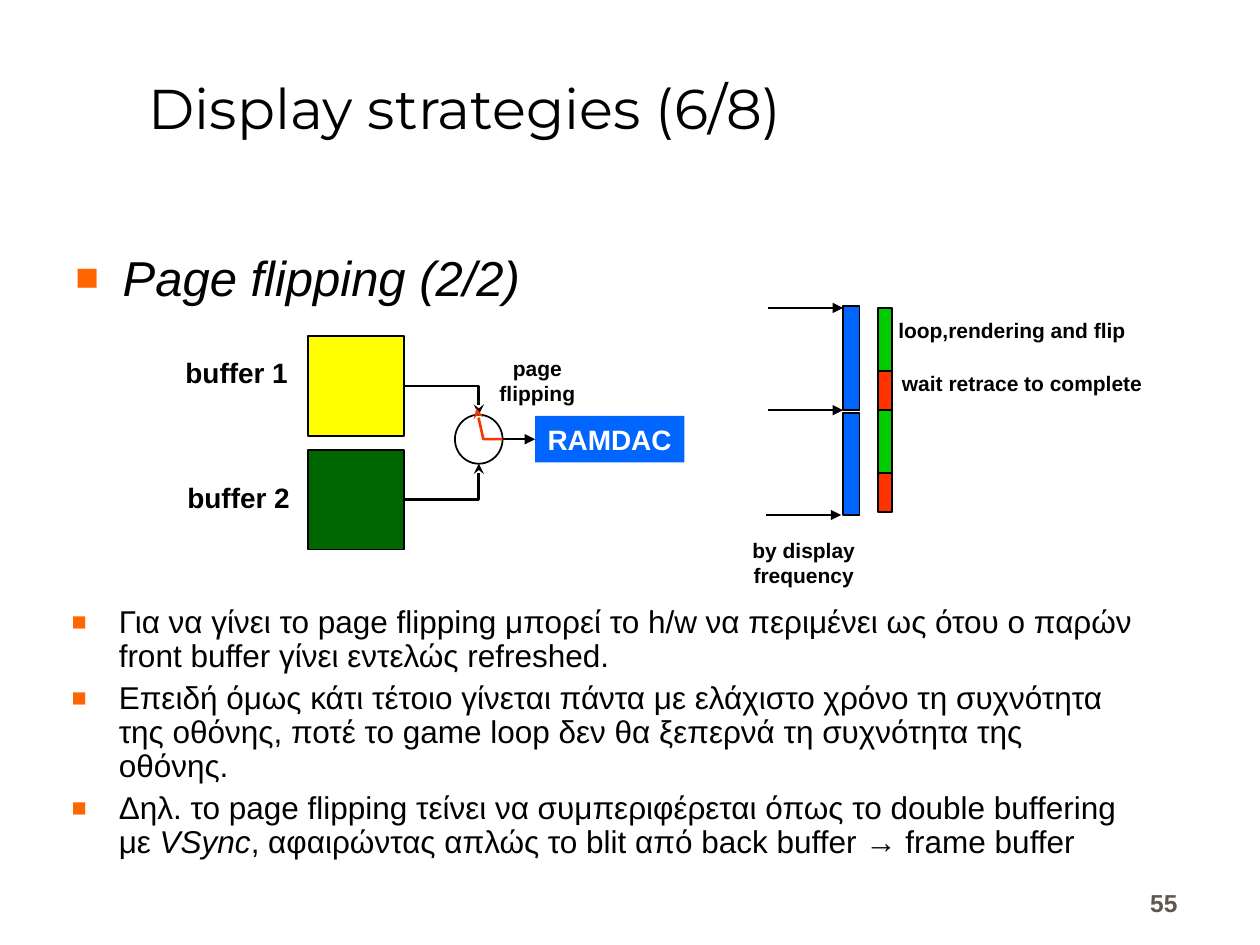
"""Build the slide on page flipping, with its buffer and timing diagrams."""
from lxml import etree
from pptx import Presentation
from pptx.dml.color import RGBColor
from pptx.enum import shapes, text
from pptx.oxml import ns
from pptx.util import Pt


def tint(code):
    return RGBColor.from_string(code)


def write(shape, rows, size, color="000000", bold=False, font="Arial", align="LEFT",
          anchor="TOP", wrap=True, bullet=False, gap=0, lead=1.0):
    frame = shape.text_frame
    frame.word_wrap = wrap
    frame.vertical_anchor = getattr(text.MSO_ANCHOR, anchor)
    for n, row in enumerate(rows):
        para = frame.paragraphs[0] if n == 0 else frame.add_paragraph()
        para.alignment = getattr(text.PP_ALIGN, align)
        para.line_spacing = lead
        para.space_before = Pt(gap if n else 0)
        if bullet:
            props = para._p.get_or_add_pPr()
            props.set("marL", str(Pt(27)))
            props.set("indent", str(Pt(-27)))
            hue = etree.SubElement(props, ns.qn("a:buClr"))
            etree.SubElement(hue, ns.qn("a:srgbClr"), val="FF6600")
            etree.SubElement(props, ns.qn("a:buSzPct"), val="80000")
            etree.SubElement(props, ns.qn("a:buFont"), typeface="Arial")
            etree.SubElement(props, ns.qn("a:buChar"), char="■")
        for k, part in enumerate(row.split("*")):
            if part:
                run = para.add_run()
                run.text = part
                run.font.size = Pt(size)
                run.font.name = font
                run.font.bold = bold
                run.font.italic = k % 2 == 1
                run.font.color.rgb = tint(color)


deck = Presentation()
deck.slide_width, deck.slide_height = Pt(720), Pt(540)
slide = deck.slides.add_slide(deck.slide_layouts[6])
items = slide.shapes

boxes = {}
for name, kind, x, y, w, h, fill, edge in [
    ("buffer 1", "RECTANGLE", 175.9, 192, 55.2, 57.1, "FFFF00", True),
    ("buffer 2", "RECTANGLE", 175.9, 257, 55.2, 57.1, "006600", True),
    ("ramdac", "RECTANGLE", 305.8, 237.7, 85.3, 26.6, "0066FF", False),
    ("clock", "OVAL", 260, 237, 27.2, 28, "FFFFFF", True),
    ("frame 1", "RECTANGLE", 481.7, 175, 9.5, 59.4, "0066FF", True),
    ("frame 2", "RECTANGLE", 481.7, 235.8, 9.5, 58.6, "0066FF", True),
    ("loop 1", "RECTANGLE", 501.8, 175.8, 8, 36.2, "00CC00", True),
    ("wait 1", "RECTANGLE", 501.8, 212, 8, 22.4, "FF3300", True),
    ("loop 2", "RECTANGLE", 501.8, 234.4, 8, 36, "00CC00", True),
    ("wait 2", "RECTANGLE", 501.8, 270.4, 8, 22.4, "FF3300", True),
]:
    box = items.add_shape(getattr(shapes.MSO_SHAPE, kind), Pt(x), Pt(y), Pt(w), Pt(h))
    box.shadow.inherit = False
    box.fill.solid()
    box.fill.fore_color.rgb = tint(fill)
    if edge:
        box.line.color.rgb = tint("000000")
        box.line.width = Pt(1)
    else:
        box.line.fill.background()
    boxes[name] = box
write(boxes["ramdac"], ["RAMDAC"], 16, "FFFFFF", bold=True, wrap=False)

links = []
for kind, x1, y1, x2, y2, width, start, end in [
    ("ELBOW", 231.1, 220.5, 273.6, 237, 1.5, "buffer 1", None),
    ("ELBOW", 231.1, 285.5, 273.6, 265, 1.5, "buffer 2", None),
    ("STRAIGHT", 287.2, 251, 305.8, 251, 1, None, "ramdac"),
    ("STRAIGHT", 438.8, 176, 481.7, 176, 1, None, None),
    ("STRAIGHT", 438.8, 234.4, 481.7, 234.4, 1, None, None),
    ("STRAIGHT", 437.8, 294.3, 480.7, 294.3, 1, None, None),
]:
    link = items.add_connector(getattr(shapes.MSO_CONNECTOR, kind),
                               Pt(x1), Pt(y1), Pt(x2), Pt(y2))
    if start:
        link.begin_connect(boxes[start], 3)
    if end:
        link.end_connect(boxes[end], 1)
    tip = "triangle"
    if kind == "ELBOW":
        link._element.spPr.find(ns.qn("a:prstGeom")).set("prst", "bentConnector2")
        tip = "stealth"
    links.append((link, "000000", width, tip))

pen = items.build_freeform(Pt(287.2), Pt(251))
pen.add_line_segments([(Pt(276.2), Pt(251)), (Pt(272.2), Pt(233.3))], close=False)
hand = pen.convert_to_shape()
hand.shadow.inherit = False
hand.fill.background()
links.append((hand, "FF3300", 1.5, "stealth"))

for link, color, width, tip in links:
    link.line.color.rgb = tint(color)
    link.line.width = Pt(width)
    props = link._element.spPr
    etree.SubElement(props.find(ns.qn("a:ln")), ns.qn("a:tailEnd"), type=tip)
    if props.find(ns.qn("a:effectLst")) is None:
        etree.SubElement(props, ns.qn("a:effectLst"))

small = dict(size=12, bold=True, wrap=False)
large = dict(size=16, bold=True, wrap=False)
points = [
    "Για να γίνει το page flipping μπορεί το h/w να περιμένει ως ότου ο παρών "
    "front buffer γίνει εντελώς refreshed.",
    "Επειδή όμως κάτι τέτοιο γίνεται πάντα με ελάχιστο χρόνο τη συχνότητα της "
    "οθόνης, ποτέ το game loop δεν θα ξεπερνά τη συχνότητα της οθόνης.",
    "Δηλ. το page flipping τείνει να συμπεριφέρεται όπως το double buffering με "
    "*VSync*, αφαιρώντας απλώς το blit από back buffer → frame buffer",
]
for x, y, w, h, rows, style in [
    (77.8, 12.2, 642.2, 72, ["Display strategies (6/8)"],
     dict(size=32, font="Montserrat", anchor="BOTTOM")),
    (36, 137.7, 653.8, 40, ["*Page flipping (2/2)*"], dict(size=28, bullet=True)),
    (275.8, 199.4, 62.6, 36, ["page flipping"],
     dict(size=12, bold=True, align="CENTER")),
    (98.9, 199.4, 73.4, 26.6, ["buffer 1"], large),
    (100, 271, 73.4, 26.6, ["buffer 2"], large),
    (33.8, 343, 622.8, 164.9, points,
     dict(size=18, bullet=True, gap=4.5, lead=0.9)),
    (506.2, 177.8, 144.7, 21.6, ["loop,rendering and flip"], small),
    (508.3, 208.1, 151.9, 21.6, ["wait retrace to complete"], small),
    (422.6, 303.8, 73.4, 36, ["by display", "frequency"], dict(small, align="CENTER")),
    (530.1, 491.8, 149.8, 36, ["55"],
     dict(size=14, color="5E574E", bold=True, align="RIGHT", anchor="BOTTOM")),
]:
    write(items.add_textbox(Pt(x), Pt(y), Pt(w), Pt(h)), rows, **style)

deck.save("out.pptx")
